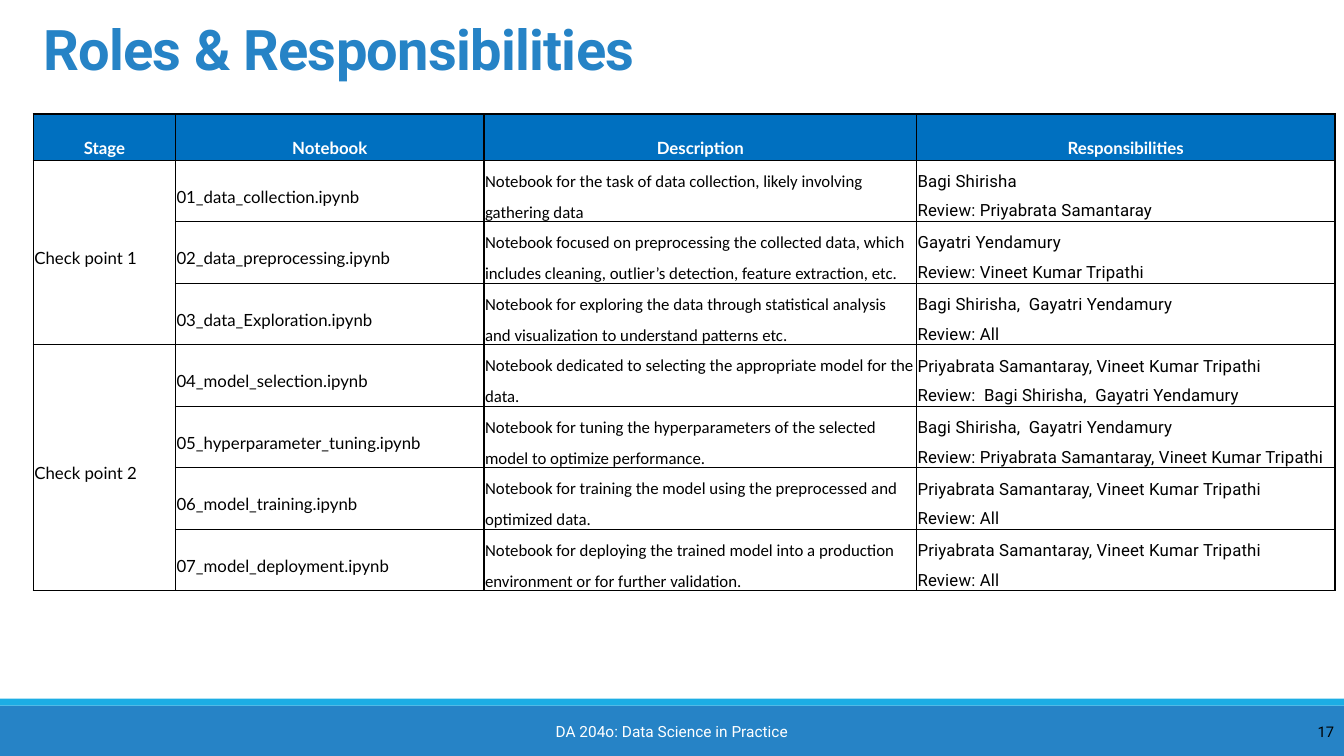
from dataclasses import dataclass

from lxml import etree
from pptx import Presentation
from pptx import util as u
from pptx.dml.color import RGBColor
from pptx.enum import shapes, text
from pptx.oxml import ns

BLUE = RGBColor(0x26, 0x83, 0xC6)
CYAN = RGBColor(0x1C, 0xAD, 0xE4)
HEADER_BLUE = RGBColor(0x00, 0x70, 0xC0)
WHITE = RGBColor(0xFF, 0xFF, 0xFF)
BLACK = RGBColor(0x00, 0x00, 0x00)

WIDTH, HEIGHT = u.Inches(13.33), u.Inches(7.5)


@dataclass(frozen=True)
class Box:
    """A rectangle in percent of the slide's width and height."""
    left: float
    top: float
    width: float
    height: float

    def lengths(self) -> tuple[int, int, int, int]:
        return (across(self.left), down(self.top),
                across(self.width), down(self.height))


@dataclass(frozen=True)
class Task:
    notebook: str
    description: str
    owners: str
    reviewers: str


@dataclass(frozen=True)
class Stage:
    name: str
    tasks: tuple[Task, ...]


TITLE_BOX = Box(2.48, 2.67, 92.12, 14.53)
FOOTER_BOX = Box(30.23, 94.13, 39.53, 5.33)
NUMBER_BOX = Box(89.27, 94.13, 10.73, 5.33)
BARS = ((Box(0, 93.33, 100, 6.67), BLUE), (Box(0, 92.4, 100, 0.93), CYAN))

TABLE_LEFT, TABLE_TOP, ROW_HEIGHT = 2.48, 15.07, 6.13
COLUMN_WIDTHS = (10.58, 22.96, 32.18, 31.13)
HEADINGS = ("Stage", "Notebook", "Description", "Responsibilities")

BAGI_GAYATRI = "Bagi Shirisha,  Gayatri Yendamury"
PRIYABRATA_VINEET = "Priyabrata Samantaray, Vineet Kumar Tripathi"

STAGES = (
    Stage("Check point 1", (
        Task("01_data_collection.ipynb",
             "Notebook for the task of data collection, likely involving gathering data",
             "Bagi Shirisha", "Priyabrata Samantaray"),
        Task("02_data_preprocessing.ipynb",
             "Notebook focused on preprocessing the collected data, which includes "
             "cleaning, outlier’s detection, feature extraction, etc.",
             "Gayatri Yendamury", "Vineet Kumar Tripathi"),
        Task("03_data_Exploration.ipynb",
             "Notebook for exploring the data through statistical analysis and "
             "visualization to understand patterns etc.",
             BAGI_GAYATRI, "All"),
    )),
    Stage("Check point 2", (
        Task("04_model_selection.ipynb",
             "Notebook dedicated to selecting the appropriate model for the data.",
             PRIYABRATA_VINEET, " " + BAGI_GAYATRI),
        Task("05_hyperparameter_tuning.ipynb",
             "Notebook for tuning the hyperparameters of the selected model to "
             "optimize performance.",
             BAGI_GAYATRI, PRIYABRATA_VINEET),
        Task("06_model_training.ipynb",
             "Notebook for training the model using the preprocessed and optimized data.",
             PRIYABRATA_VINEET, "All"),
        Task("07_model_deployment.ipynb",
             "Notebook for deploying the trained model into a production environment "
             "or for further validation.",
             PRIYABRATA_VINEET, "All"),
    )),
)


def across(percent: float) -> int:
    return round(WIDTH * percent / 100)


def down(percent: float) -> int:
    return round(HEIGHT * percent / 100)


def write(frame, *lines: str, font: str = "Roboto", size: float = 12,
          color: RGBColor = BLACK, bold: bool = False, align=text.PP_ALIGN.LEFT,
          line_spacing: float = 1.0, tracking: float = 0) -> None:
    """Fill a text frame with one paragraph per line."""
    frame.word_wrap = True
    for index, line in enumerate(lines):
        paragraph = frame.add_paragraph() if index else frame.paragraphs[0]
        paragraph.alignment = align
        paragraph.line_spacing = line_spacing
        run = paragraph.add_run()
        run.text = line
        run.font.name, run.font.size, run.font.bold = font, u.Pt(size), bold
        run.font.color.rgb = color
        if tracking:
            run._r.get_or_add_rPr().set("spc", str(round(tracking * 100)))


def add_bar(slide, box: Box, color: RGBColor) -> None:
    bar = slide.shapes.add_shape(shapes.MSO_SHAPE.RECTANGLE, *box.lengths())
    bar.shadow.inherit = False
    bar.fill.solid()
    bar.fill.fore_color.rgb = color
    bar.line.fill.background()


def add_label(slide, box: Box, label: str, **style) -> None:
    frame = slide.shapes.add_textbox(*box.lengths()).text_frame
    frame.vertical_anchor = text.MSO_ANCHOR.MIDDLE
    write(frame, label, **style)


def format_cell(cell, fill: RGBColor) -> None:
    """Set tight margins, a thin black border and a plain fill."""
    cell.margin_left = cell.margin_right = cell.margin_top = u.Inches(0.01)
    cell.margin_bottom = 0
    cell.vertical_anchor = text.MSO_ANCHOR.MIDDLE
    properties = cell._tc.get_or_add_tcPr()
    for side in ("a:lnL", "a:lnR", "a:lnT", "a:lnB"):
        line = etree.SubElement(properties, ns.qn(side), w=str(u.Pt(1)))
        solid = etree.SubElement(line, ns.qn("a:solidFill"))
        etree.SubElement(solid, ns.qn("a:srgbClr"), val=str(BLACK))
    cell.fill.solid()
    cell.fill.fore_color.rgb = fill


def add_roles_table(slide) -> None:
    row_count = 1 + sum(len(stage.tasks) for stage in STAGES)
    box = Box(TABLE_LEFT, TABLE_TOP, sum(COLUMN_WIDTHS), ROW_HEIGHT * row_count)
    table = slide.shapes.add_table(row_count, len(HEADINGS), *box.lengths()).table
    table.horz_banding = False
    for column, width in zip(table.columns, COLUMN_WIDTHS):
        column.width = across(width)
    for index, row in enumerate(table.rows):
        row.height = down(ROW_HEIGHT)
        for cell in row.cells:
            format_cell(cell, WHITE if index else HEADER_BLUE)

    # Header row
    for column, heading in enumerate(HEADINGS):
        write(table.cell(0, column).text_frame, heading, font="Lato", color=WHITE,
              bold=True, align=text.PP_ALIGN.CENTER, line_spacing=2.0)

    # One merged stage cell beside its tasks
    row = 1
    for stage in STAGES:
        stage_cell = table.cell(row, 0)
        stage_cell.merge(table.cell(row + len(stage.tasks) - 1, 0))
        write(stage_cell.text_frame, stage.name, font="Lato", line_spacing=1.5)
        for task in stage.tasks:
            notebook, description, people = (
                table.cell(row, column).text_frame for column in (1, 2, 3))
            write(notebook, task.notebook, font="Lato", line_spacing=1.5)
            write(description, task.description, font="Calibri", line_spacing=1.5)
            write(people, task.owners, f"Review: {task.reviewers}",
                  line_spacing=1.5, tracking=0.1)
            row += 1


def main() -> None:
    presentation = Presentation()
    presentation.slide_width, presentation.slide_height = WIDTH, HEIGHT
    slide = presentation.slides.add_slide(presentation.slide_layouts[5])

    # Footer
    for box, color in BARS:
        add_bar(slide, box, color)
    add_label(slide, FOOTER_BOX, "DA 204o: Data Science in Practice", size=11,
              color=WHITE, align=text.PP_ALIGN.CENTER)
    add_label(slide, NUMBER_BOX, "17", size=10.5, align=text.PP_ALIGN.RIGHT)

    # Title
    title = slide.shapes.title
    title.left, title.top, title.width, title.height = TITLE_BOX.lengths()
    title.text_frame.vertical_anchor = text.MSO_ANCHOR.TOP
    title.text_frame.auto_size = text.MSO_AUTO_SIZE.NONE
    write(title.text_frame, "Roles & Responsibilities", size=40, color=BLUE,
          bold=True, line_spacing=0.85, tracking=-0.5)

    add_roles_table(slide)
    presentation.save("out.pptx")


if __name__ == "__main__":
    main()
